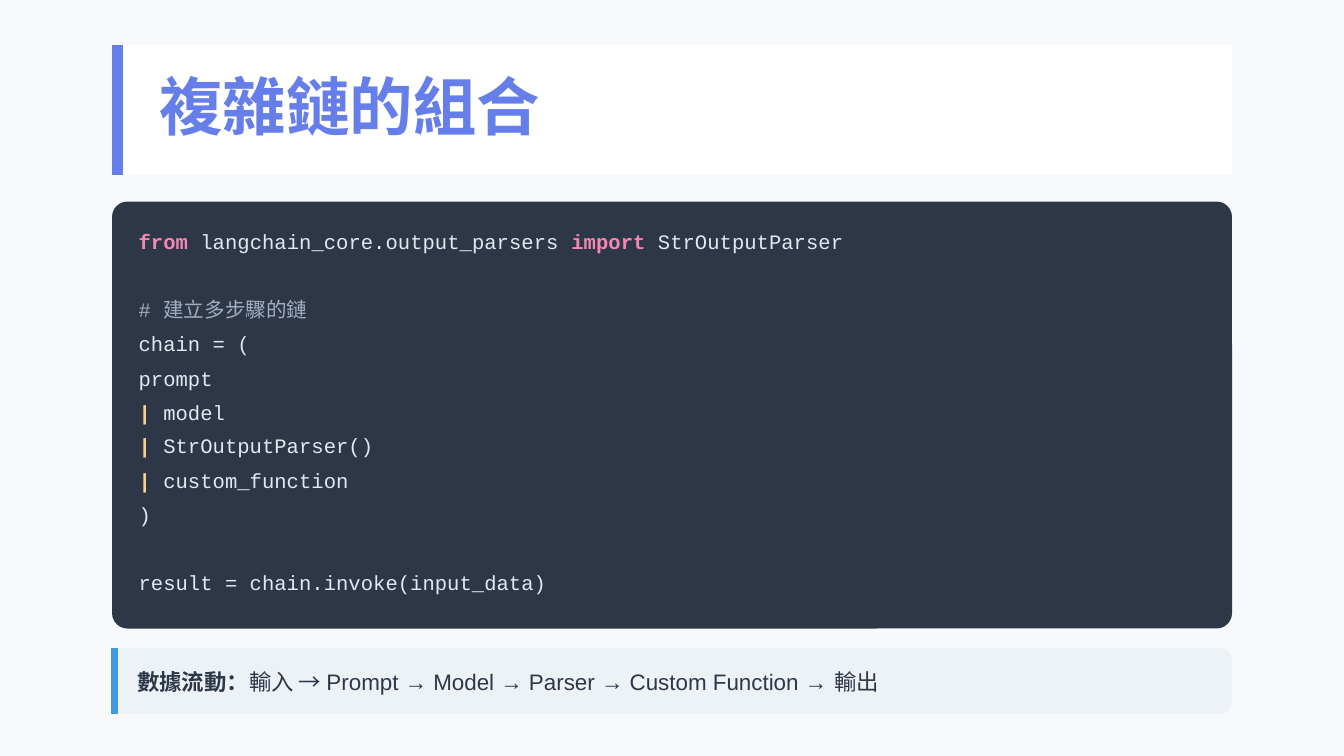
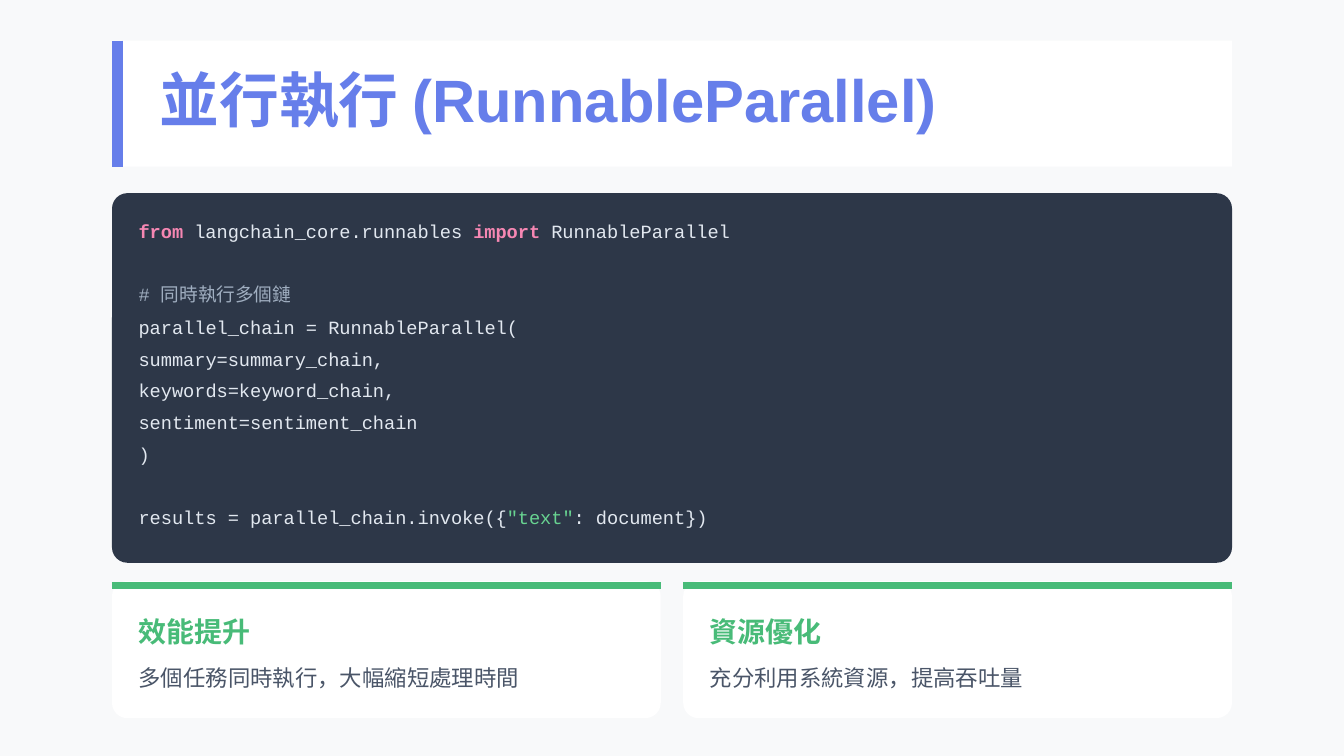
from lxml import etree
from pptx import Presentation
from pptx import util as u
from pptx.dml.color import RGBColor
from pptx.enum import shapes, text
from pptx.oxml.ns import qn

EMU_PER_PX = 9525
LEFT, WIDTH = 80, 800
INSET = 19
CARD_WIDTH, CARD_STEP = 392, 408

BACKGROUND = "F8F9FA"
WHITE = "FFFFFF"
ACCENT = "667EEA"
DARK = "2D3748"
PALE = "EDF2F7"
BLUE = "4299E1"
GREEN = "48BB78"
BODY = "4A5568"

SANS, MONO = "Arial", "Courier New"

# Syntax styles: colour, bold
PLAIN = ("E2E8F0", False)
KEYWORD = ("F687B3", True)
COMMENT = ("A0AEC0", False)
OPERATOR = ("FBD38D", True)
STRING = ("68D391", False)

# One entry per code line; an empty entry leaves a line free
CHAIN_CODE = [
    [("from", KEYWORD), (" langchain_core.output_parsers ", PLAIN),
     ("import", KEYWORD), (" StrOutputParser", PLAIN)],
    [],
    [("# 建立多步驟的鏈", COMMENT)],
    [("chain = (", PLAIN)],
    [("prompt", PLAIN)],
    [("|", OPERATOR), (" model", PLAIN)],
    [("|", OPERATOR), (" StrOutputParser()", PLAIN)],
    [("|", OPERATOR), (" custom_function", PLAIN)],
    [(")", PLAIN)],
    [],
    [("result = chain.invoke(input_data)", PLAIN)],
]

PARALLEL_CODE = [
    [("from", KEYWORD), (" langchain_core.runnables ", PLAIN),
     ("import", KEYWORD), (" RunnableParallel", PLAIN)],
    [],
    [("# 同時執行多個鏈", COMMENT)],
    [("parallel_chain = RunnableParallel(", PLAIN)],
    [("summary=summary_chain,", PLAIN)],
    [("keywords=keyword_chain,", PLAIN)],
    [("sentiment=sentiment_chain", PLAIN)],
    [(")", PLAIN)],
    [],
    [("results = parallel_chain.invoke({", PLAIN), ('"text"', STRING),
     (": document})", PLAIN)],
]

BENEFITS = [
    ("效能提升", "多個任務同時執行，大幅縮短處理時間"),
    ("資源優化", "充分利用系統資源，提高吞吐量"),
]


def px(length):
    return u.Emu(length * EMU_PER_PX)


def color(value):
    return RGBColor.from_string(value)


def write(box, spans, size, font, leading=None, after=None):
    """Fill a text shape with one paragraph of (text, (colour, bold)) spans."""
    frame = box.text_frame
    frame.word_wrap = True
    frame.auto_size = text.MSO_AUTO_SIZE.NONE
    frame.vertical_anchor = text.MSO_ANCHOR.TOP
    frame.margin_left = frame.margin_right = 0
    frame.margin_top = frame.margin_bottom = 0
    para = frame.paragraphs[0]
    para.alignment = text.PP_ALIGN.LEFT
    if leading:
        para.line_spacing = u.Pt(leading)
    if after:
        para.space_after = u.Pt(after)
    for wording, (shade, bold) in spans:
        span = para.add_run()
        span.text = wording
        span.font.size = u.Pt(size)
        span.font.name = font
        span.font.bold = bold
        span.font.color.rgb = color(shade)


def add_text(page, left, top, width, height, spans, size, font=SANS, **spacing):
    box = page.shapes.add_textbox(px(left), px(top), px(width), px(height))
    write(box, spans, size, font, **spacing)


def add_panel(page, left, top, width, height, fill, radius=0):
    preset = shapes.MSO_SHAPE.ROUNDED_RECTANGLE if radius else shapes.MSO_SHAPE.RECTANGLE
    panel = page.shapes.add_shape(preset, px(left), px(top), px(width), px(height))
    if radius:
        panel.adjustments[0] = radius / height
    panel.shadow.inherit = False
    panel.fill.solid()
    panel.fill.fore_color.rgb = color(fill)
    panel.line.fill.background()


def add_rule(page, x1, y1, x2, y2, shade, weight):
    rule = page.shapes.add_connector(
        shapes.MSO_CONNECTOR.STRAIGHT, px(x1), px(y1), px(x2), px(y2))
    rule.line.color.rgb = color(shade)
    rule.line.width = u.Pt(weight)
    etree.SubElement(rule.element.spPr, qn("a:effectLst"))


def add_page(deck, heading, size, top, height):
    """Add a slide with the shared background and title band."""
    page = deck.slides.add_slide(deck.slide_layouts[5])
    page.background.fill.solid()
    page.background.fill.fore_color.rgb = color(BACKGROUND)
    add_panel(page, LEFT, top, WIDTH, height, WHITE)
    add_rule(page, LEFT + 4, top, LEFT + 4, top + height, ACCENT, 6)
    title = page.shapes.title
    title.left, title.top = px(114), px(top + 16)
    title.width, title.height = px(754), px(round(size * 1.8))
    write(title, [(heading, (ACCENT, True))], size, SANS)
    title.element.getparent().append(title.element)  # in front of the band
    return page


def add_code(page, top, height, lines, size):
    add_panel(page, LEFT, top, WIDTH, height, DARK, radius=11)
    leading, after = size * 1.3, 4
    pitch = (leading + after) * 4 / 3
    for index, spans in enumerate(lines):
        if spans:
            add_text(page, LEFT + INSET, round(top + 18 + index * pitch), 778,
                     round(leading * 4 / 3), spans, size, MONO,
                     leading=leading, after=after)


def add_note(page, top, height, label, wording):
    add_panel(page, LEFT, top, WIDTH, height, PALE, radius=8)
    add_rule(page, LEFT + 2, top, LEFT + 2, top + height, BLUE, 3.75)
    spans = [(label, (DARK, True)), (wording, (DARK, False))]
    add_text(page, 98, top + 13, 783, 21, spans, 12, leading=15.6)


def add_card(page, left, top, heading, wording):
    add_panel(page, left, top, CARD_WIDTH, 98, WHITE, radius=11)
    add_rule(page, left, top + 3, left + CARD_WIDTH, top + 3, GREEN, 3.75)
    add_text(page, left + INSET, top + 24, 362, 27,
             [(heading, (GREEN, True))], 15, after=6)
    add_text(page, left + INSET, top + 58, 362, 21,
             [(wording, (BODY, False))], 12, leading=15.6)


def main():
    deck = Presentation()
    deck.slide_width, deck.slide_height = px(960), px(540)

    page = add_page(deck, "複雜鏈的組合", 34, top=32, height=93)
    add_code(page, 144, 305, CHAIN_CODE, 11)
    add_note(page, 463, 47, "數據流動：",
             "輸入 → Prompt → Model → Parser → Custom Function → 輸出")

    page = add_page(deck, "並行執行 (RunnableParallel)", 32, top=29, height=90)
    add_code(page, 138, 264, PARALLEL_CODE, 10)
    for index, (heading, wording) in enumerate(BENEFITS):
        add_card(page, LEFT + index * CARD_STEP, 415, heading, wording)

    deck.save("out.pptx")


if __name__ == "__main__":
    main()
